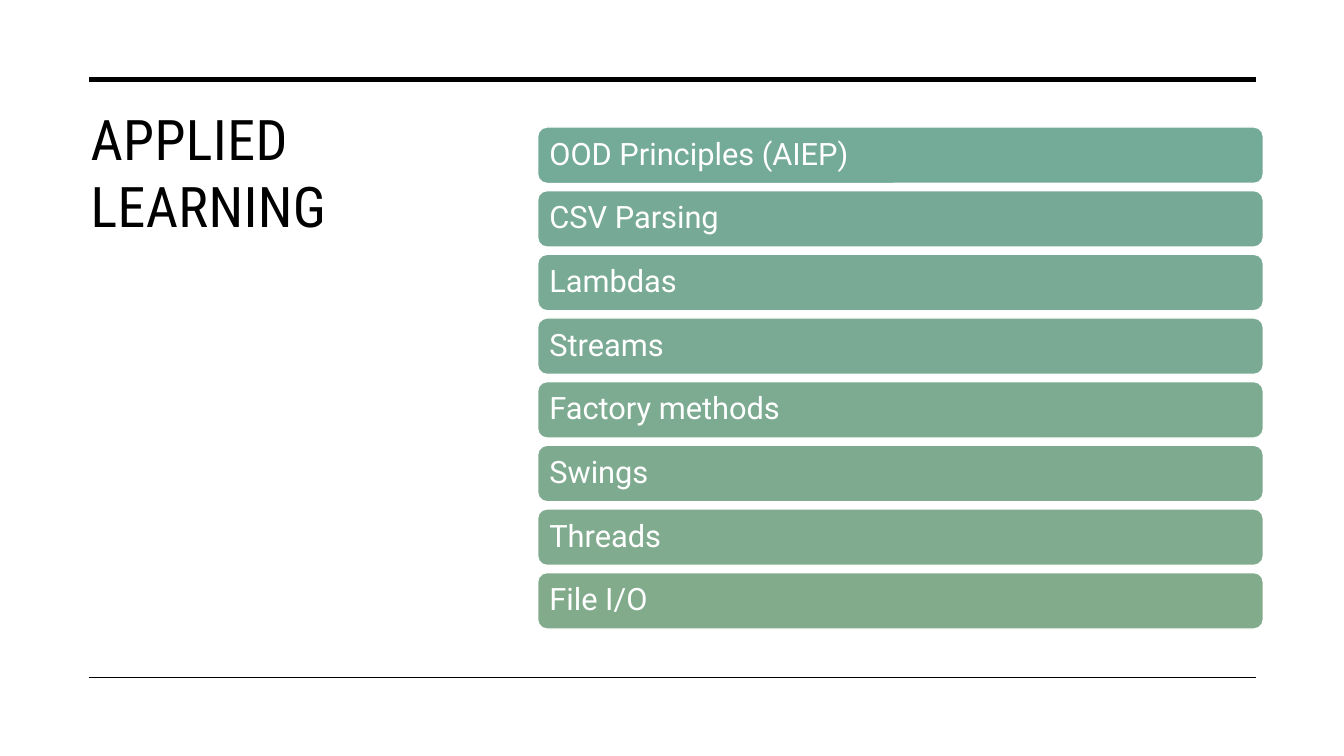
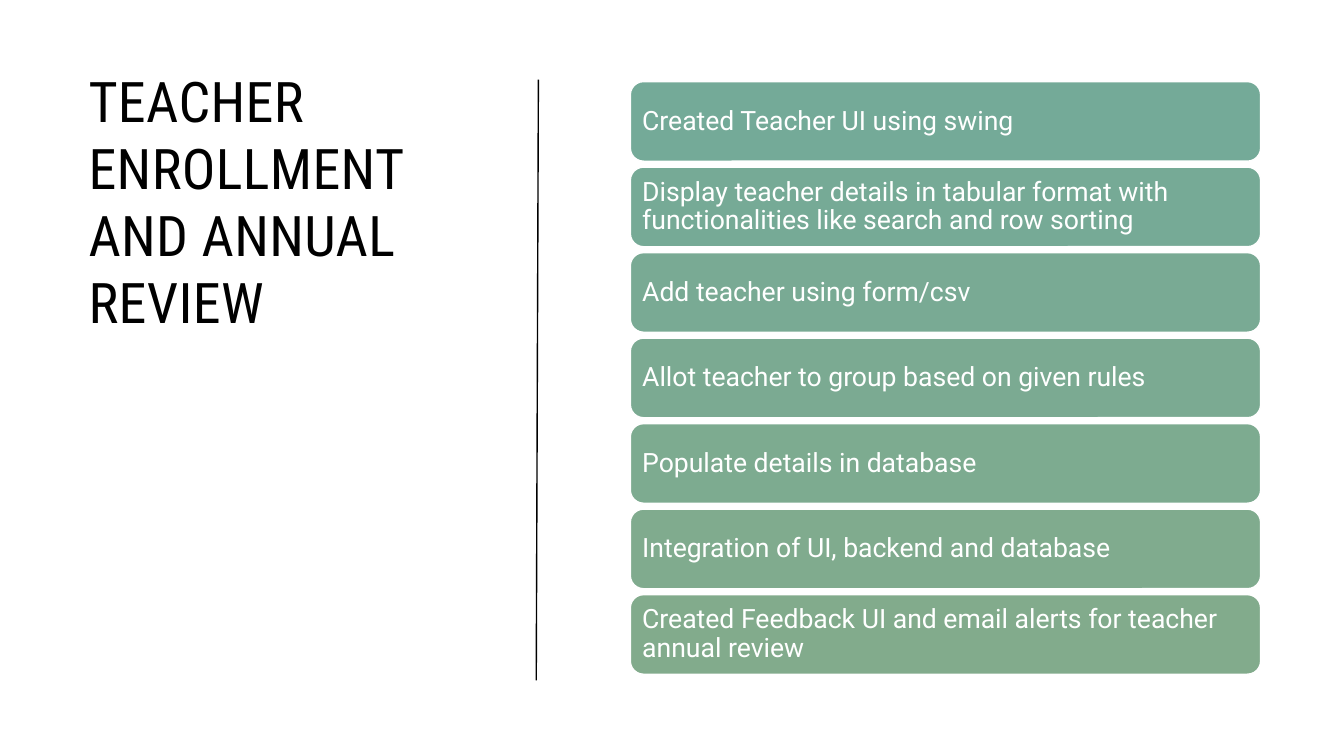
import dataclasses

import pptx
import pptx.dml.color
import pptx.enum.shapes
import pptx.enum.text
import pptx.oxml.ns
import pptx.util
from lxml import etree


@dataclasses.dataclass(frozen=True)
class Theme:
    title_font: str = "Roboto Condensed"
    body_font: str = "Roboto"
    ink: str = "000000"
    paper: str = "FFFFFF"
    first_bar: str = "74AA98"
    last_bar: str = "82AB8C"
    title_size: int = 40
    title_tracking: int = 30  # hundredths of a point
    thick_rule: float = 3.5
    thin_rule: float = 1
    bar_leading: float = 0.9

    def shade(self, share):
        """Blend the bar colours; 0 is the first bar, 1 the last."""
        start = bytes.fromhex(self.first_bar)
        end = bytes.fromhex(self.last_bar)
        return bytes(round(a + (b - a) * share) for a, b in zip(start, end)).hex()


class Deck:
    """Holds the style and the current slide; lengths are percent of the slide."""

    def __init__(self, theme):
        self.theme = theme
        self.deck = pptx.Presentation()
        self.deck.slide_width = pptx.util.Inches(13.33)
        self.deck.slide_height = pptx.util.Inches(7.5)
        self.page = None

    def x(self, share):
        return round(self.deck.slide_width * share / 100)

    def y(self, share):
        return round(self.deck.slide_height * share / 100)

    def frame(self, left, top, width, height):
        return self.x(left), self.y(top), self.x(width), self.y(height)

    def color(self, value):
        return pptx.dml.color.RGBColor.from_string(value.upper())

    def new_page(self):
        self.page = self.deck.slides.add_slide(self.deck.slide_layouts[6])
        self.page.background.fill.solid()
        self.page.background.fill.fore_color.rgb = self.color(self.theme.paper)

    def add_span(self, para, text, font, size, color):
        para.alignment = pptx.enum.text.PP_ALIGN.LEFT
        span = para.add_run()
        span.text = text
        span.font.name = font
        span.font.size = pptx.util.Pt(size)
        span.font.color.rgb = self.color(color)
        return span

    def title(self, text, left, top, width, height):
        box = self.page.shapes.add_textbox(*self.frame(left, top, width, height))
        box.text_frame.word_wrap = True
        span = self.add_span(box.text_frame.paragraphs[0], text, self.theme.title_font,
                             self.theme.title_size, self.theme.ink)
        span.font._element.set("spc", str(self.theme.title_tracking))

    def rule(self, start, end, weight):
        line = self.page.shapes.add_connector(
            pptx.enum.shapes.MSO_CONNECTOR.STRAIGHT,
            self.x(start[0]), self.y(start[1]), self.x(end[0]), self.y(end[1]))
        line.line.color.rgb = self.color(self.theme.ink)
        line.line.width = pptx.util.Pt(weight)
        etree.SubElement(line._element.spPr, pptx.oxml.ns.qn("a:effectLst"))

    def bar(self, text, frame, fill, size, inset):
        box = self.page.shapes.add_shape(
            pptx.enum.shapes.MSO_SHAPE.ROUNDED_RECTANGLE, *self.frame(*frame))
        box.shadow.inherit = False
        box.fill.solid()
        box.fill.fore_color.rgb = self.color(fill)
        box.line.color.rgb = self.color(self.theme.paper)
        box.line.width = pptx.util.Pt(self.theme.thin_rule)
        body = box.text_frame
        body.word_wrap = True
        body.vertical_anchor = pptx.enum.text.MSO_ANCHOR.MIDDLE
        body.margin_left = body.margin_right = pptx.util.Inches(inset)
        body.margin_top = body.margin_bottom = pptx.util.Inches(inset)
        para = body.paragraphs[0]
        para.line_spacing = self.theme.bar_leading
        self.add_span(para, text, self.theme.body_font, size, self.theme.paper)

    def bar_stack(self, items, left, top, width, height, gap, size, inset):
        for index, text in enumerate(items):
            frame = (left, top + index * (height + gap), width, height)
            fill = self.theme.shade(index / (len(items) - 1))
            self.bar(text, frame, fill, size, inset)


def main():
    theme = Theme()
    deck = Deck(theme)

    # Applied learning: rules above and below
    deck.new_page()
    deck.title("APPLIED LEARNING", 6, 13.2, 30, 64.27)
    for height, weight in ((10.53, theme.thick_rule), (89.6, theme.thin_rule)):
        deck.rule((6.6, height), (93.47, height), weight)
    deck.bar_stack(
        ["OOD Principles (AIEP)", "CSV Parsing", "Lambdas", "Streams",
         "Factory methods", "Swings", "Threads", "File I/O"],
        left=40, top=16.8, width=54, height=7.47, gap=0.95, size=22, inset=0.09)

    # Teacher enrollment: rule between title and bars
    deck.new_page()
    deck.title("TEACHER ENROLLMENT AND ANNUAL REVIEW", 5.85, 8.13, 29.7, 66.53)
    deck.rule((39.9, 90), (40.06, 10.53), theme.thin_rule)
    deck.bar_stack(
        ["Created Teacher UI using swing",
         "Display teacher details in tabular format with functionalities "
         "like search and row sorting",
         "Add teacher using form/csv",
         "Allot teacher to group based on given rules",
         "Populate details in database",
         "Integration of UI, backend and database",
         "Created Feedback UI and email alerts for teacher annual review"],
        left=46.9, top=10.8, width=46.9, height=10.53, gap=0.78, size=19, inset=0.08)

    deck.deck.save("out.pptx")


if __name__ == "__main__":
    main()
